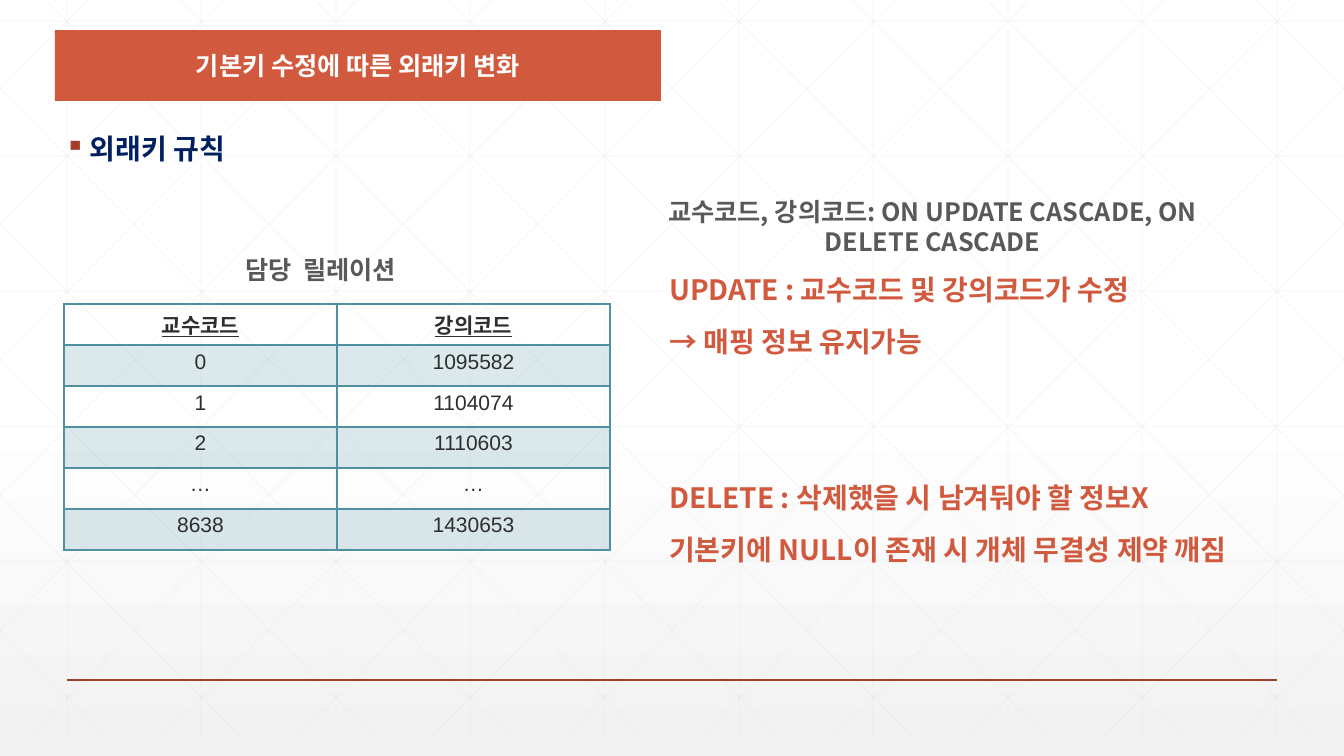
"""Build the slide on how foreign keys follow primary key changes."""
import lxml.etree
import pptx
import pptx.dml.color
import pptx.enum.shapes
import pptx.enum.text
import pptx.oxml.ns
import pptx.util

PX = 9072
WIDTH, HEIGHT = 1344, 756
FONT = "Noto Sans CJK KR"
ORANGE, RUST, TEAL, GREY = "D15A3E", "A43F27", "4F91A1", "595959"
CENTER = pptx.enum.text.PP_ALIGN.CENTER
TOP = pptx.enum.text.MSO_ANCHOR.TOP
colour = pptx.dml.color.RGBColor.from_string
qn = pptx.oxml.ns.qn


def add_tag(parent, tag, **attributes):
    """Append one drawing element and return it."""
    return lxml.etree.SubElement(parent, qn(tag), attributes)


def write(para, text, size, ink, name=FONT, bold=True, underline=False):
    """Fill a paragraph with one formatted run."""
    span = para.add_run()
    span.text = text
    span.font.size = pptx.util.Pt(size)
    span.font.bold = bold
    span.font.underline = underline
    span.font.color.rgb = colour(ink)
    span.font.name = name
    add_tag(span.font._element, "a:ea", typeface=FONT)


deck = pptx.Presentation()
deck.slide_width, deck.slide_height = WIDTH * PX, HEIGHT * PX
page = deck.slides.add_slide(deck.slide_layouts[1])

backdrop = page.background.fill
backdrop.gradient()
backdrop.gradient_angle = 270
for stop, (position, shade) in zip(backdrop.gradient_stops, [(0.53, "FFFFFF"), (1, "F2F2F2")]):
    stop.position = position
    stop.color.rgb = colour(shade)

GRID_BOTTOM, SLOPE = 735, 0.994
grid = [(67 + 134.4 * i, 0, 67 + 134.4 * i, GRID_BOTTOM) for i in range(10)]
grid += [(0, 21 + 135 * i, WIDTH, 21 + 135 * i) for i in range(6)]
for i in range(-5, 10):
    start = 46 + 134.4 * i
    left, right = max(0, start), min(WIDTH, start + GRID_BOTTOM * SLOPE)
    top, bottom = (left - start) / SLOPE, (right - start) / SLOPE
    grid.append((left, top, right, bottom))
    grid.append((WIDTH - left, top, WIDTH - right, bottom))

lines = [(ends, "D9D9D9", 0.5, 25) for ends in grid]
lines.append(((67, 680, 1277, 680), RUST, 1, 100))
for ends, ink, weight, opacity in lines:
    line = page.shapes.add_connector(
        pptx.enum.shapes.MSO_CONNECTOR.STRAIGHT, *[round(end) * PX for end in ends])
    line.line.color.rgb = colour(ink)
    line.line.width = pptx.util.Pt(weight)
    if opacity < 100:
        for tint in line.element.iter(qn("a:srgbClr")):
            add_tag(tint, "a:alpha", val=str(opacity * 1000))
    add_tag(line.element.spPr, "a:effectLst")

title, body = page.placeholders
for box, (left, top, width, height) in [(title, (55, 30, 606, 71)), (body, (659, 274, 621, 347))]:
    box.left, box.top, box.width, box.height = left * PX, top * PX, width * PX, height * PX
    box.text_frame.auto_size = pptx.enum.text.MSO_AUTO_SIZE.NONE
    box.element.getparent().append(box.element)

title.fill.solid()
title.fill.fore_color.rgb = colour(ORANGE)
title.text_frame.vertical_anchor = pptx.enum.text.MSO_ANCHOR.MIDDLE
title.text_frame.paragraphs[0].alignment = CENTER
write(title.text_frame.paragraphs[0], "기본키 수정에 따른 외래키 변화", 18, "FFFFFF")

rules = [
    ("UPDATE : 교수코드 및 강의코드가 수정", 0),
    ("→ 매핑 정보 유지가능", 18),
    ("DELETE : 삭제했을 시 남겨둬야 할 정보X", 92),
    ("기본키에 NULL이 존재 시 개체 무결성 제약 깨짐", 18),
]
body.text_frame.vertical_anchor = TOP
for number, (rule, gap) in enumerate(rules):
    para = body.text_frame.add_paragraph() if number else body.text_frame.paragraphs[0]
    para.line_spacing = 0.8
    para.space_before = pptx.util.Pt(gap)
    settings = para._p.get_or_add_pPr()
    settings.set("marL", "0")
    settings.set("indent", "0")
    add_tag(settings, "a:buNone")
    write(para, rule, 20, ORANGE)

labels = [
    ("외래키 규칙", (55, 130, 1219, 41), 20, "002060", True),
    ("담당  릴레이션", (103, 249, 435, 39), 18, GREY, False),
    ("교수코드, 강의코드: ON UPDATE CASCADE, ON DELETE CASCADE", (647, 191, 571, 70), 18, GREY, False),
]
for text, place, size, ink, bulleted in labels:
    box = page.shapes.add_textbox(*[length * PX for length in place])
    box.text_frame.word_wrap = True
    para = box.text_frame.paragraphs[0]
    if bulleted:
        para.line_spacing = 0.9
        settings = para._p.get_or_add_pPr()
        settings.set("marL", str(25 * PX))
        settings.set("indent", str(-25 * PX))
        add_tag(add_tag(settings, "a:buClr"), "a:srgbClr", val=RUST)
        add_tag(settings, "a:buChar", char="▪")
    else:
        para.alignment = CENTER
    write(para, text, size, ink)

relation = [
    ("교수코드", "강의코드"),
    ("0", "1095582"),
    ("1", "1104074"),
    ("2", "1110603"),
    ("…", "…"),
    ("8638", "1430653"),
]
table = page.shapes.add_table(len(relation), 2, 64 * PX, 304 * PX, 546 * PX, 246 * PX).table
table.horz_banding = False
for row, values in enumerate(relation):
    table.rows[row].height = 41 * PX
    for column, value in enumerate(values):
        cell = table.cell(row, column)
        cell.vertical_anchor = TOP
        heading = row == 0
        para = cell.text_frame.paragraphs[0]
        para.alignment = CENTER
        write(para, value, 15, "2D2E2D", "Arial", heading, heading)
        settings = cell._tc.get_or_add_tcPr()
        for side in "LRTB":
            thick = (row, side) in [(0, "B"), (1, "T")]
            border = add_tag(settings, "a:ln" + side, w=str(pptx.util.Pt(2 if thick else 1)))
            add_tag(add_tag(border, "a:solidFill"), "a:srgbClr", val=TEAL)
        if row % 2:
            cell.fill.solid()
            cell.fill.fore_color.rgb = colour(TEAL)
            tint = settings.find(qn("a:solidFill")).find(qn("a:srgbClr"))
            add_tag(tint, "a:alpha", val="20000")
        else:
            cell.fill.background()

deck.save("out.pptx")
